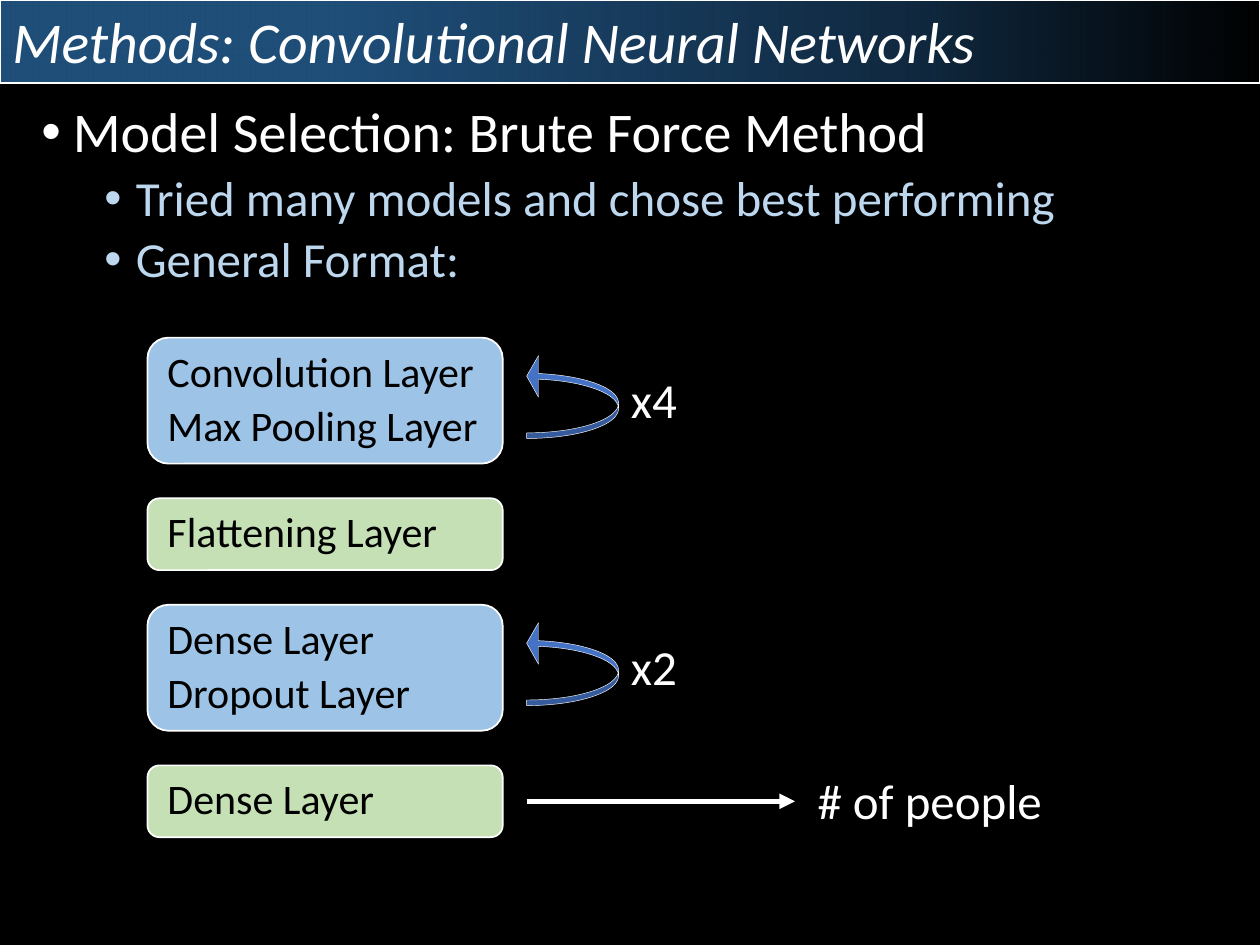
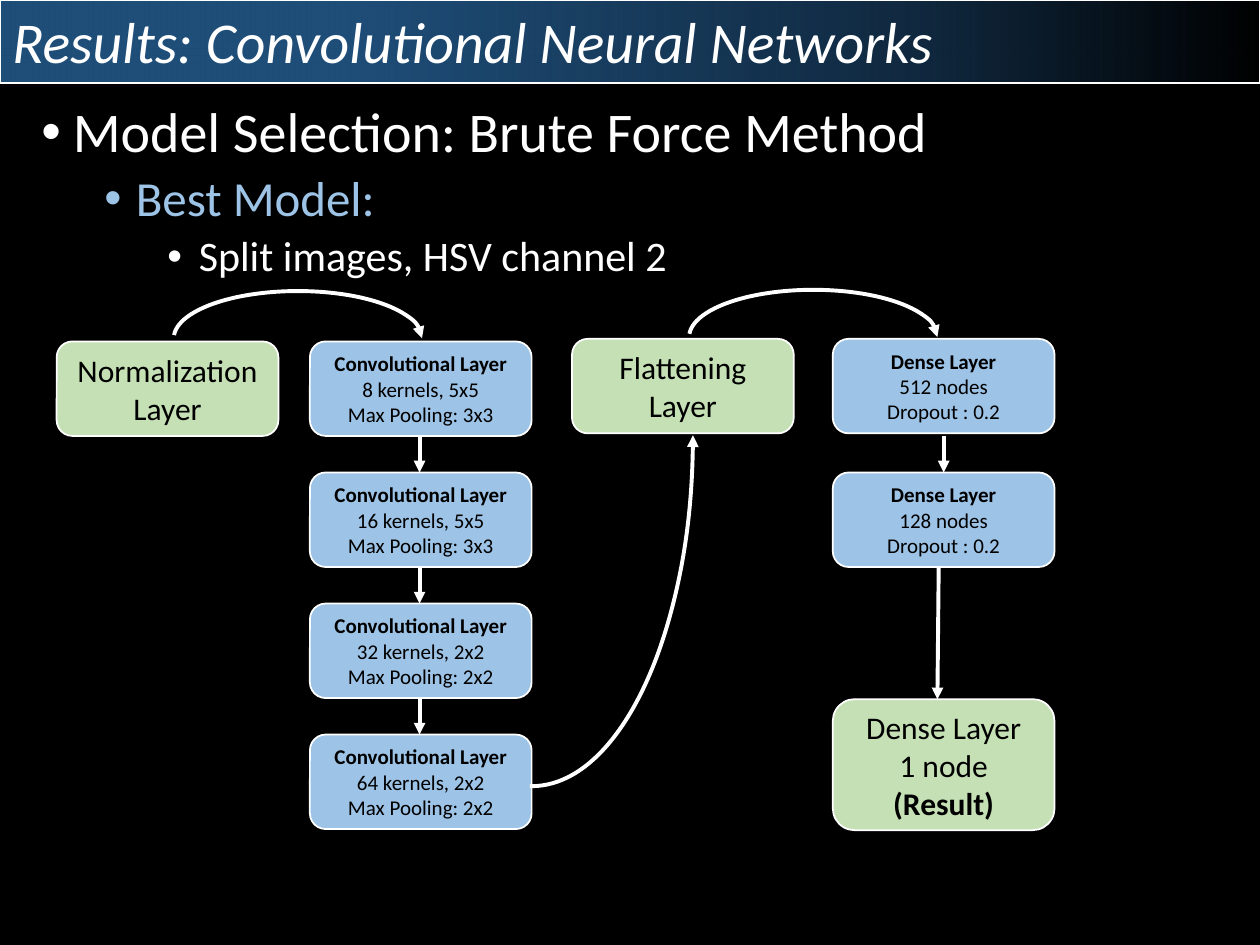
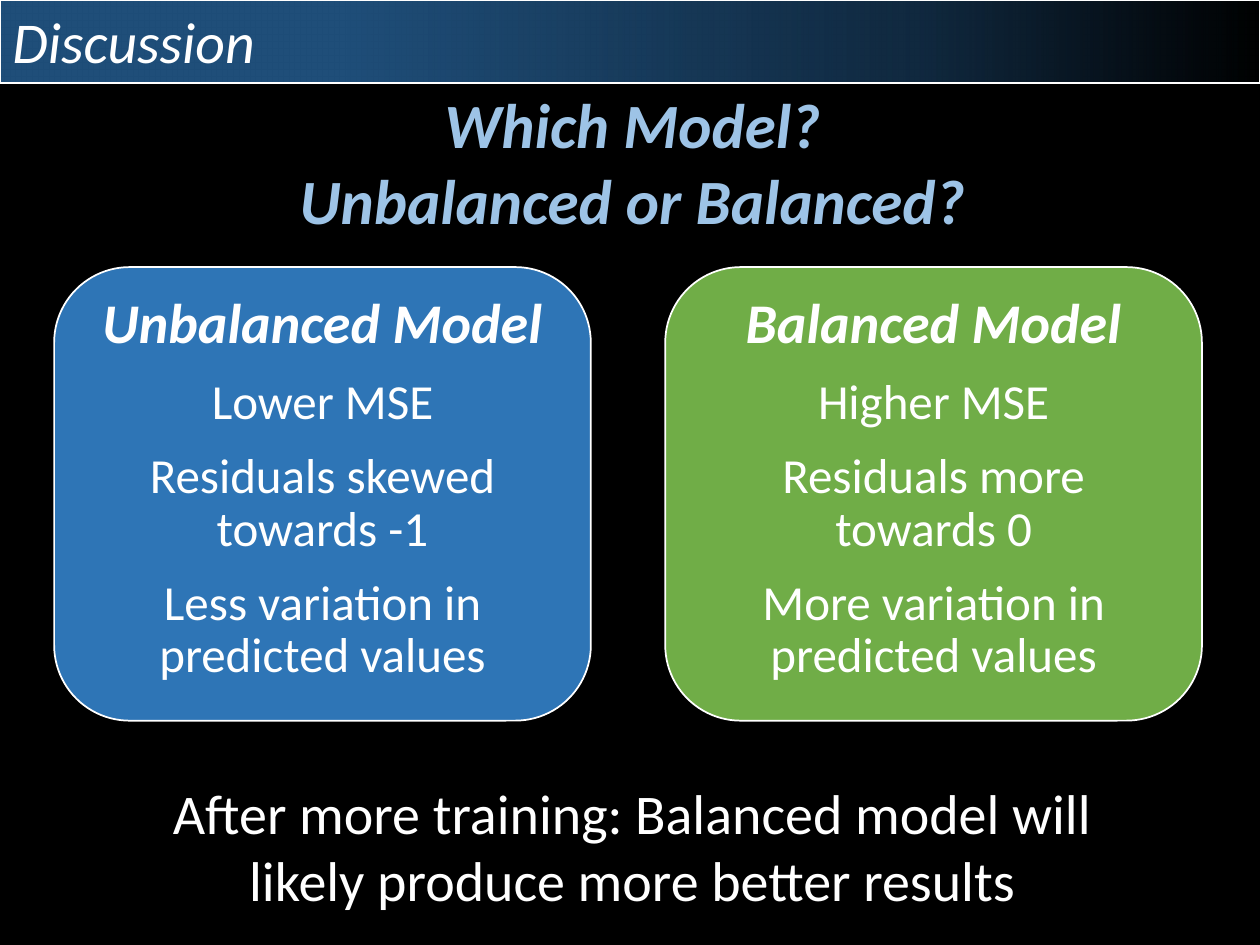
from lxml import etree
from pptx import Presentation
from pptx.dml.color import RGBColor
from pptx.enum.shapes import MSO_CONNECTOR, MSO_SHAPE
from pptx.enum.text import MSO_ANCHOR, PP_ALIGN
from pptx.oxml.ns import qn
from pptx.util import Inches, Pt

FONT = "Calibri"
WIDTH, HEIGHT = 10, 7.5
COLOURS = {
    "back": "000000", "text": "FFFFFF", "dark": "000000", "band": "1F4E79",
    "pale": "BDD7EE", "sky": "9DC3E6", "mint": "C5E0B4",
    "blue": "2E75B6", "green": "70AD47", "loop": "4472C4",
}
BAND_STOPS = [(0, 100), (27, 100), (51, 75), (74, 50), (100, 0)]
BULLET_LEVELS = [(0.25, 32), (0.75, 28), (1.25, 24)]

METHOD_POINTS = [
    (0, "Model Selection: Brute Force Method", "text"),
    (1, "Tried many models and chose best performing", "pale"),
    (1, "General Format:", "pale"),
]
METHOD_LAYERS = [
    (["Convolution Layer", "Max Pooling Layer"], "sky", "x4"),
    (["Flattening Layer"], "mint", None),
    (["Dense Layer", "Dropout Layer"], "sky", "x2"),
    (["Dense Layer"], "mint", None),
]
METHOD_OUTPUT = "# of people"

RESULT_POINTS = [
    (0, "Model Selection: Brute Force Method", "text"),
    (1, "Best Model:", "sky"),
    (2, "Split images, HSV channel 2", "text"),
]
NODE_COLUMNS = [0.45, 2.46, 4.54, 6.61]
NODE_TOP, NODE_PITCH, NODE_WIDTH, NODE_HEIGHT = 2.71, 1.04, 1.76, 0.75
PLAIN_NODES = [
    (0, 0, NODE_HEIGHT, ["Normalization Layer"]),
    (2, -0.02, NODE_HEIGHT, ["Flattening Layer"]),
    (3, 2.73, 1.04, ["Dense Layer", "1 node", ("(Result)", {"bold": True})]),
]
DETAIL_NODES = [
    (1, 0, "Convolutional Layer", "8 kernels, 5x5", "Max Pooling: 3x3"),
    (1, 1, "Convolutional Layer", "16 kernels, 5x5", "Max Pooling: 3x3"),
    (1, 2, "Convolutional Layer", "32 kernels, 2x2", "Max Pooling: 2x2"),
    (1, 3, "Convolutional Layer", "64 kernels, 2x2", "Max Pooling: 2x2"),
    (3, -0.02, "Dense Layer", "512 nodes", "Dropout : 0.2"),
    (3, 1, "Dense Layer", "128 nodes", "Dropout : 0.2"),
]
NODE_ARROWS = [(3.33, NODE_TOP + NODE_HEIGHT + row * NODE_PITCH, 3.33, NODE_TOP + (row + 1) * NODE_PITCH)
               for row in range(3)] + [(7.49, 3.46, 7.49, 3.75), (7.45, 4.5, 7.44, 5.55)]
NODE_ARCS = [
    (1.38, 2.31, 1.97, 0.75, 108.9, False),
    (5.47, 2.3, 1.97, 0.75, 108.9, False),
    (2.94, 0.67, 2.56, 5.57, 161.83, True),
]

QUESTION = ["Which Model?", "Unbalanced or Balanced?"]
MODEL_CARDS = [
    ("Unbalanced Model", "blue",
     ["Lower MSE", "Residuals skewed towards -1", "Less variation in predicted values"]),
    ("Balanced Model", "green",
     ["Higher MSE", "Residuals more towards 0", "More variation in predicted values"]),
]
CONCLUSION = ["After more training: Balanced model will likely produce more better results"]


def rgb(name):
    return RGBColor.from_string(COLOURS[name])


def write(holder, paragraphs, size=18, colour="text", bold=False, italic=False,
          align=PP_ALIGN.LEFT, anchor=MSO_ANCHOR.TOP, spacing=1.0, before=0,
          wrap=True, inset=0.1):
    frame = holder.text_frame
    frame.word_wrap = wrap
    frame.vertical_anchor = anchor
    frame.margin_left = Inches(inset)
    for index, entry in enumerate(paragraphs):
        text, changes = entry if isinstance(entry, tuple) else (entry, {})
        paragraph = frame.paragraphs[0] if index == 0 else frame.add_paragraph()
        level = changes.get("level")
        if level is not None:
            properties = paragraph._p.get_or_add_pPr()
            properties.set("marL", str(Inches(BULLET_LEVELS[level][0])))
            properties.set("indent", str(Inches(-0.25)))
            etree.SubElement(properties, qn("a:buFont")).set("typeface", "Arial")
            etree.SubElement(properties, qn("a:buChar")).set("char", "•")
        paragraph.alignment = align
        paragraph.line_spacing = spacing
        paragraph.space_before = Pt(before if index else 0)
        run = paragraph.add_run()
        run.text = text
        run.font.name = FONT
        run.font.size = Pt(changes.get("size", size))
        run.font.bold = changes.get("bold", bold)
        run.font.italic = changes.get("italic", italic)
        run.font.color.rgb = rgb(changes.get("colour", colour))


def add_label(slide, box, paragraphs, **style):
    label = slide.shapes.add_textbox(*map(Inches, box))
    write(label, paragraphs, **style)


def add_box(slide, box, fill, kind=MSO_SHAPE.ROUNDED_RECTANGLE, line=1):
    shape = slide.shapes.add_shape(kind, *map(Inches, box))
    shape.shadow.inherit = False
    if fill:
        shape.fill.solid()
        shape.fill.fore_color.rgb = rgb(fill)
    else:
        shape.fill.background()
    shape.line.color.rgb = rgb("text")
    shape.line.width = Pt(line)
    return shape


def add_arrowhead(shape):
    etree.SubElement(shape.line._get_or_add_ln(), qn("a:tailEnd")).set("type", "triangle")


def add_arrow(slide, ends, width=2.25):
    arrow = slide.shapes.add_connector(MSO_CONNECTOR.STRAIGHT, *map(Inches, ends))
    arrow.line.color.rgb = rgb("text")
    arrow.line.width = Pt(width)
    add_arrowhead(arrow)
    etree.SubElement(arrow._element.spPr, qn("a:effectLst"))


def add_points(slide, points, height):
    entries = [(text, {"level": level, "size": BULLET_LEVELS[level][1], "colour": colour})
               for level, text, colour in points]
    add_label(slide, (0.23, 0.78, 9.53, height), entries, spacing=0.9, before=5)


def start_slide(deck, title):
    slide = deck.slides.add_slide(deck.slide_layouts[6])
    slide.background.fill.solid()
    slide.background.fill.fore_color.rgb = rgb("back")
    band = add_box(slide, (0, 0, WIDTH, 0.66), "band", MSO_SHAPE.RECTANGLE, 0.75)
    band.fill.gradient()
    band.fill.gradient_angle = 0
    stops = band._element.spPr.find(qn("a:gradFill")).find(qn("a:gsLst"))
    for stop in list(stops):
        stops.remove(stop)
    for position, alpha in BAND_STOPS:
        stop = etree.SubElement(stops, qn("a:gs"), pos=str(position * 1000))
        colour = etree.SubElement(stop, qn("a:srgbClr"), val=COLOURS["band"])
        etree.SubElement(colour, qn("a:alpha"), val=str(alpha * 1000))
    write(band, [title], size=33, italic=True)
    return slide


def build_methods(deck):
    slide = start_slide(deck, "Methods: Convolutional Neural Networks")
    add_points(slide, METHOD_POINTS, 1.68)
    top, gap = 2.68, 0.275
    for names, fill, repeat in METHOD_LAYERS:
        height = 1 if len(names) == 2 else 0.57
        layer = add_box(slide, (1.17, top, 2.82, height), fill)
        layer.text_frame.margin_right = 0
        write(layer, names, size=24, colour="dark", anchor=MSO_ANCHOR.MIDDLE,
              spacing=0.9, before=5, inset=0.16 - 0.05 * height)
        if repeat:
            loop = add_box(slide, (4.18, top + 0.14, 0.73, 0.66), "loop",
                           MSO_SHAPE.CURVED_RIGHT_ARROW, 0.25)
            loop.rotation = 180
            for index, value in enumerate((0.068, 0.5, 0.142)):
                loop.adjustments[index] = value
            add_label(slide, (4.91, top + 0.2, 0.57, 0.57), [repeat], size=28, wrap=False)
        top += height + gap
    add_arrow(slide, (4.18, 6.36, 6.31, 6.36), 3)
    add_label(slide, (6.39, 6.07, 2, 0.57), [METHOD_OUTPUT], size=28, wrap=False)


def build_results(deck):
    slide = start_slide(deck, "Results: Convolutional Neural Networks")
    add_points(slide, RESULT_POINTS, 1.68)
    nodes = [(column, row, height, lines, "mint", 18)
             for column, row, height, lines in PLAIN_NODES]
    nodes += [(column, row, NODE_HEIGHT, [(name, {"bold": True}), *details], "sky", 12)
              for column, row, name, *details in DETAIL_NODES]
    for column, row, height, lines, fill, size in nodes:
        box = (NODE_COLUMNS[column], NODE_TOP + row * NODE_PITCH, NODE_WIDTH, height)
        write(add_box(slide, box, fill), lines, size=size, colour="dark",
              align=PP_ALIGN.CENTER, anchor=MSO_ANCHOR.MIDDLE)
    for ends in NODE_ARROWS:
        add_arrow(slide, ends)
    for *box, start, flipped in NODE_ARCS:
        arc = add_box(slide, box, None, MSO_SHAPE.ARC, 2.25)
        arc.adjustments[0] = start
        arc.adjustments[1] = 0
        if flipped:
            arc._element.spPr.find(qn("a:xfrm")).set("flipV", "1")
        add_arrowhead(arc)


def build_discussion(deck):
    slide = start_slide(deck, "Discussion")
    add_label(slide, (0.9, 0.63, 8.24, 1.31), QUESTION, size=36, colour="sky",
              bold=True, italic=True, align=PP_ALIGN.CENTER)
    for index, (name, fill, findings) in enumerate(MODEL_CARDS):
        card = add_box(slide, (0.43 + index * 4.85, 2.12, 4.26, 3.6), fill)
        heading = (name, {"size": 32, "bold": True, "italic": True})
        write(card, [heading, *findings], size=28, align=PP_ALIGN.CENTER,
              spacing=0.9, before=12)
    add_label(slide, (0.9, 6.13, 8.24, 1.18), CONCLUSION, size=32, align=PP_ALIGN.CENTER)


def main():
    deck = Presentation()
    deck.slide_width, deck.slide_height = Inches(WIDTH), Inches(HEIGHT)
    build_methods(deck)
    build_results(deck)
    build_discussion(deck)
    deck.save("out.pptx")


if __name__ == "__main__":
    main()
